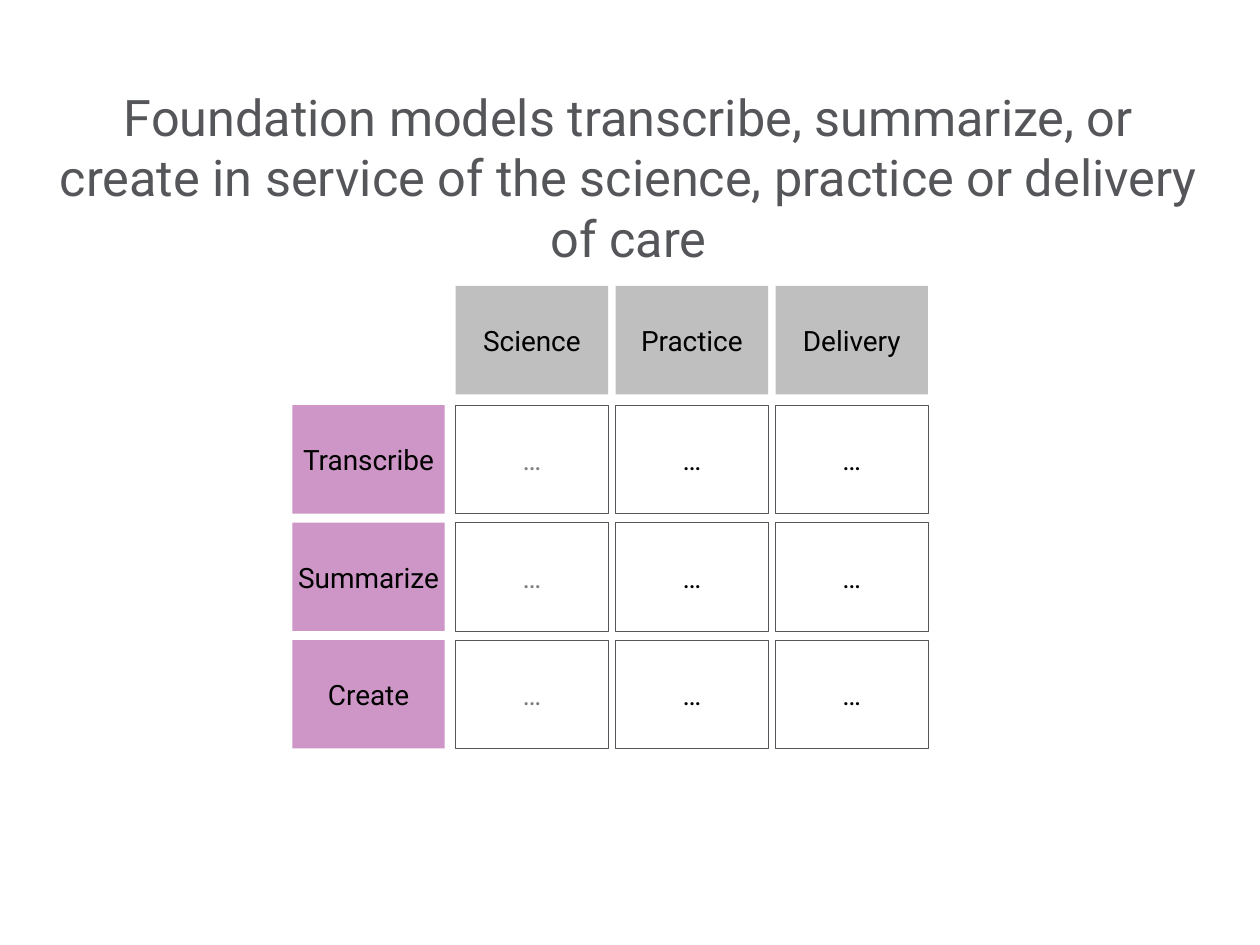
from typing import NamedTuple, Optional

from pptx import Presentation
from pptx.dml.color import RGBColor
from pptx.enum import shapes, text
from pptx.util import Pt

FONT = "Roboto"
SLATE, BLACK, GREY = "55565A", "000000", "808080"
CELL_W, CELL_H = 87.12, 61.92
LABEL_X, HEADER_Y = 167.04, 163.44
GRID_X, GRID_Y = 260.4, 231.6
STEP_X, STEP_Y = 91.4, 67.1
COLUMNS = ["Science", "Practice", "Delivery"]
ROWS = ["Transcribe", "Summarize", "Create"]


class BoxStyle(NamedTuple):
    fill: str
    line: Optional[str] = None
    side_inset: float = 7.2


HEADER = BoxStyle("BFBFBF")
LABEL = BoxStyle("CD96C6", side_inset=0)
CELL = BoxStyle("FFFFFF", line=SLATE)


def rgb(value: str) -> RGBColor:
    return RGBColor.from_string(value)


def write(s, words: str, size: float, color: str) -> None:
    """Put one centred, wrapped paragraph in the middle of a shape."""
    tf = s.text_frame
    tf.text = words
    tf.word_wrap = True
    tf.vertical_anchor = text.MSO_ANCHOR.MIDDLE
    p = tf.paragraphs[0]
    p.alignment = text.PP_ALIGN.CENTER
    r = p.runs[0]
    r.font.name = FONT
    r.font.size = Pt(size)
    r.font.color.rgb = rgb(color)


def add_box(sp, x: float, y: float, words: str, style: BoxStyle, color: str = BLACK) -> None:
    s = sp.add_shape(shapes.MSO_SHAPE.RECTANGLE, Pt(x), Pt(y), Pt(CELL_W), Pt(CELL_H))
    s.shadow.inherit = False
    s.fill.solid()
    s.fill.fore_color.rgb = rgb(style.fill)
    if style.line:
        s.line.color.rgb = rgb(style.line)
        s.line.width = Pt(0.25)
    else:
        s.line.fill.background()
    write(s, words, 16, color)
    s.text_frame.margin_left = s.text_frame.margin_right = Pt(style.side_inset)


def main() -> None:
    prs = Presentation()
    prs.slide_width, prs.slide_height = Pt(720), Pt(540)
    sp = prs.slides.add_slide(prs.slide_layouts[6]).shapes

    title = sp.add_textbox(Pt(23.76), Pt(63.36), Pt(671.04), Pt(74.88))
    write(title, "Foundation models transcribe, summarize, or create in service "
          "of the science, practice or delivery of care", 28.8, SLATE)

    for col, name in enumerate(COLUMNS):
        add_box(sp, GRID_X + col * STEP_X, HEADER_Y, name, HEADER)
    for row, name in enumerate(ROWS):
        y = GRID_Y + row * STEP_Y
        add_box(sp, LABEL_X, y, name, LABEL)
        for col in range(len(COLUMNS)):
            add_box(sp, GRID_X + col * STEP_X, y, "…", CELL, BLACK if col else GREY)

    prs.save("out.pptx")


if __name__ == "__main__":
    main()
